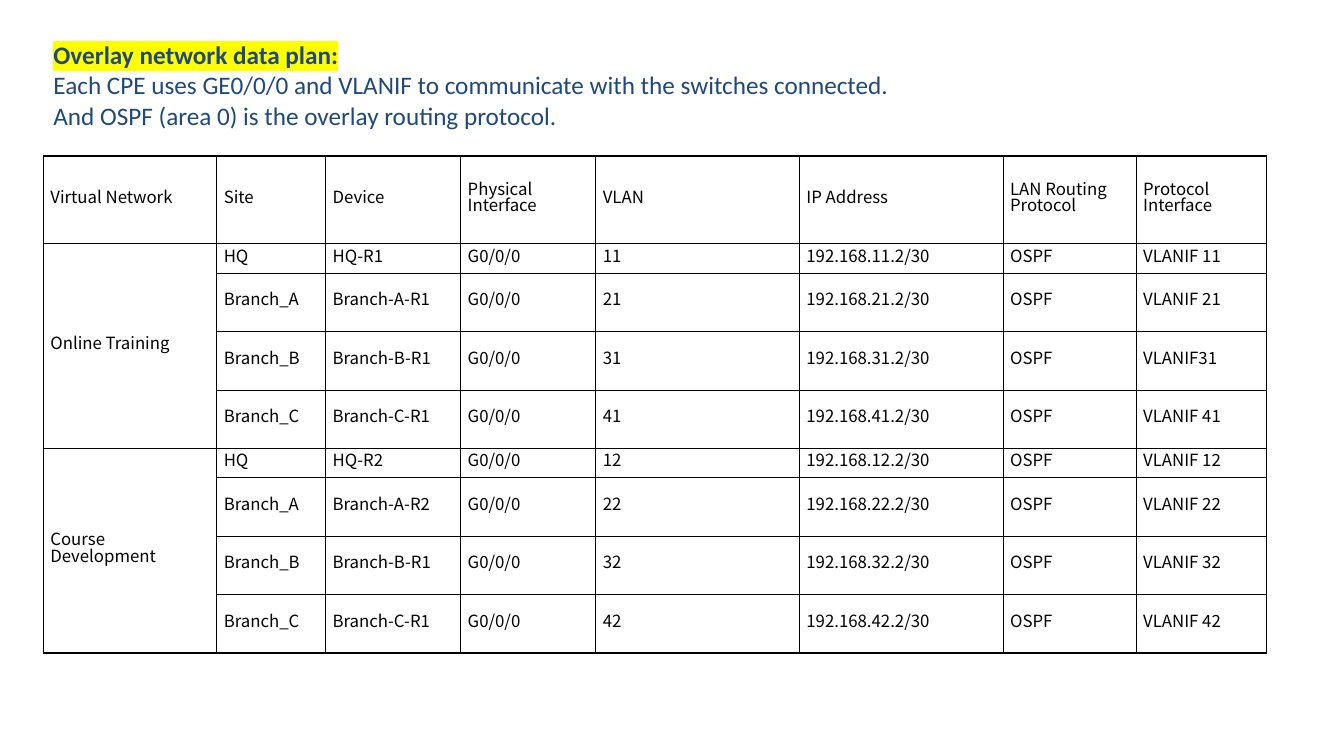
"""Build the overlay network data plan slide."""
from lxml.etree import SubElement
from pptx import Presentation
from pptx.dml.color import RGBColor
from pptx.enum.text import MSO_ANCHOR, MSO_AUTO_SIZE, PP_ALIGN
from pptx.oxml import parse_xml
from pptx.oxml.ns import nsdecls, qn
from pptx.util import Inches, Pt

HEADING = "Overlay network data plan:"
SUMMARY = [
    "Each CPE uses GE0/0/0 and VLANIF to communicate with the switches connected.",
    "And OSPF (area 0) is the overlay routing protocol.",
]
COLUMNS = [
    ("Virtual Network", 1.72), ("Site", 1.08), ("Device", 1.34), ("Physical Interface", 1.34),
    ("VLAN", 2.02), ("IP Address", 2.02), ("LAN Routing Protocol", 1.32), ("Protocol Interface", 1.29),
]
NETWORKS = {
    "Online Training": [
        ("HQ", "HQ-R1", 11, "VLANIF 11"),
        ("Branch_A", "Branch-A-R1", 21, "VLANIF 21"),
        ("Branch_B", "Branch-B-R1", 31, "VLANIF31"),
        ("Branch_C", "Branch-C-R1", 41, "VLANIF 41"),
    ],
    "Course Development": [
        ("HQ", "HQ-R2", 12, "VLANIF 12"),
        ("Branch_A", "Branch-A-R2", 22, "VLANIF 22"),
        ("Branch_B", "Branch-B-R1", 32, "VLANIF 32"),
        ("Branch_C", "Branch-C-R1", 42, "VLANIF 42"),
    ],
}
HEADER_HEIGHT, HQ_HEIGHT, BRANCH_HEIGHT = 0.87, 0.29, 0.58
THIN, THICK = Pt(0.75), Pt(1.5)
NAVY = RGBColor(0x1F, 0x49, 0x7D)
YELLOW = RGBColor(0xFF, 0xFF, 0x00)
BLACK = RGBColor(0x00, 0x00, 0x00)


def write(para, text, size=12, font="Noto Sans CJK SC", color=BLACK, bold=False, highlight=None):
    """Add one formatted span to a paragraph."""
    span = para.add_run()
    span.text = text
    span.font.size, span.font.name, span.font.bold = Pt(size), font, bold
    span.font.color.rgb = color
    if highlight is not None:
        mark = parse_xml(f'<a:highlight {nsdecls("a")}><a:srgbClr val="{highlight}"/></a:highlight>')
        span.font._element.find(qn("a:solidFill")).addnext(mark)


def fill_cell(cell, text):
    """Write the text of one table cell."""
    cell.vertical_anchor = MSO_ANCHOR.MIDDLE
    cell.margin_left = cell.margin_right = Inches(0.07)
    cell.margin_top = cell.margin_bottom = 0
    para = cell.text_frame.paragraphs[0]
    para.line_spacing = Pt(12)
    para.space_before = para.space_after = Pt(4)
    write(para, text)


def draw_borders(cell, top, bottom):
    """Give a cell black borders and no fill."""
    properties = cell._tc.get_or_add_tcPr()
    for side, width in (("L", THIN), ("R", THIN), ("T", top), ("B", bottom)):
        line = SubElement(properties, qn(f"a:ln{side}"), w=str(width))
        SubElement(SubElement(line, qn("a:solidFill")), qn("a:srgbClr"), val=str(BLACK))
    SubElement(properties, qn("a:noFill"))


def add_heading(page):
    """Place the highlighted heading and its summary lines."""
    title = page.shapes.title
    title.left, title.top, title.width, title.height = map(Inches, (0.43, 0.34, 11.34, 1.01))
    frame = title.text_frame
    frame.word_wrap = True
    frame.auto_size = MSO_AUTO_SIZE.SHAPE_TO_FIT_TEXT
    frame.vertical_anchor = MSO_ANCHOR.TOP
    for index, text in enumerate([HEADING, *SUMMARY]):
        para = frame.add_paragraph() if index else frame.paragraphs[0]
        para.alignment = PP_ALIGN.LEFT
        write(para, text, size=18, font="Calibri", color=NAVY, bold=index == 0,
              highlight=None if index else YELLOW)


def add_plan(page):
    """Place the table of sites grouped by virtual network."""
    heights = [HEADER_HEIGHT]
    for sites in NETWORKS.values():
        heights += [HQ_HEIGHT if site[0] == "HQ" else BRANCH_HEIGHT for site in sites]
    widths = [width for _, width in COLUMNS]
    frame = page.shapes.add_table(len(heights), len(widths), Inches(0.43), Inches(1.55),
                                  Inches(sum(widths)), Inches(sum(heights)))
    table = frame.table
    table.first_row = table.horz_banding = False
    for column, width in zip(table.columns, widths):
        column.width = Inches(width)
    for row, height in zip(table.rows, heights):
        row.height = Inches(height)
    for column, (label, _) in enumerate(COLUMNS):
        fill_cell(table.cell(0, column), label)

    first = 1
    thick_edges = {0}
    for network, sites in NETWORKS.items():
        end = first + len(sites)
        table.cell(first, 0).merge(table.cell(end - 1, 0))
        fill_cell(table.cell(first, 0), network)
        for row, (site, device, vlan, interface) in enumerate(sites, first):
            values = (site, device, "G0/0/0", str(vlan), f"192.168.{vlan}.2/30", "OSPF", interface)
            for column, value in enumerate(values, 1):
                fill_cell(table.cell(row, column), value)
        thick_edges.add(end)
        first = end

    for row in range(len(heights)):
        for column in range(len(widths)):
            cell = table.cell(row, column)
            end = row + (cell.span_height if cell.is_merge_origin else 1)
            top, bottom = (THICK if edge in thick_edges else THIN for edge in (row, end))
            draw_borders(cell, top, bottom)


def main():
    """Create and save the deck."""
    deck = Presentation()
    deck.slide_width, deck.slide_height = Inches(13.33), Inches(7.5)
    page = deck.slides.add_slide(deck.slide_layouts[5])
    add_heading(page)
    add_plan(page)
    deck.save("out.pptx")


if __name__ == "__main__":
    main()
